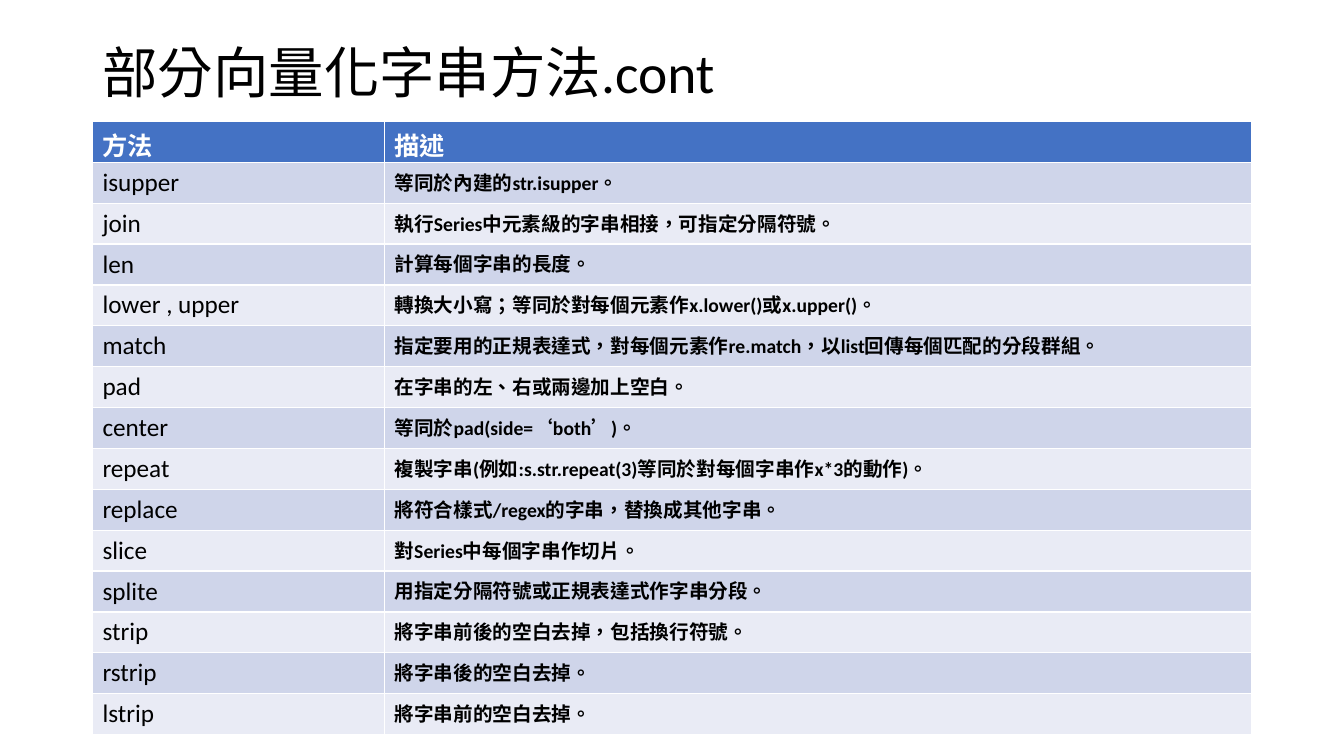
from pptx import Presentation
from pptx.dml.color import RGBColor
from pptx.enum.lang import MSO_LANGUAGE_ID
from pptx.enum.text import MSO_ANCHOR
from pptx.util import Cm, Pt

# Content
TITLE = "部分向量化字串方法.cont"
HEADER = ("方法", "描述")
METHODS = [
    ("isupper", "等同於內建的str.isupper。"),
    ("join", "執行Series中元素級的字串相接，可指定分隔符號。"),
    ("len", "計算每個字串的長度。"),
    ("lower , upper", "轉換大小寫；等同於對每個元素作x.lower()或x.upper()。"),
    ("match", "指定要用的正規表達式，對每個元素作re.match，以list回傳每個匹配的分段群組。"),
    ("pad", "在字串的左、右或兩邊加上空白。"),
    ("center", "等同於pad(side=‘both’)。"),
    ("repeat", "複製字串(例如:s.str.repeat(3)等同於對每個字串作x*3的動作)。"),
    ("replace", "將符合樣式/regex的字串，替換成其他字串。"),
    ("slice", "對Series中每個字串作切片。"),
    ("splite", "用指定分隔符號或正規表達式作字串分段。"),
    ("strip", "將字串前後的空白去掉，包括換行符號。"),
    ("rstrip", "將字串後的空白去掉。"),
    ("lstrip", "將字串前的空白去掉。"),
]

# Style and layout
FONT = "Calibri"
COLORS = {
    "text": "000000",
    "header_text": "FFFFFF",
    "header": "4472C4",
    "odd": "CFD5EA",
    "even": "E9EBF5",
}
LEFT, WIDTH = Cm(2.33), Cm(29.21)
TITLE_TOP, TITLE_HEIGHT = Cm(1.02), Cm(1.78)
TABLE_TOP, ROW_HEIGHT = Cm(3.06), Cm(1.03)
METHOD_WIDTH = Cm(7.36)


def add_text(paragraph, text, size, color, bold=False):
    run = paragraph.add_run()
    run.text = text
    run.font.name = FONT
    run.font.size = Pt(size)
    run.font.bold = bold
    run.font.color.rgb = RGBColor.from_string(COLORS[color])
    run.font.language_id = MSO_LANGUAGE_ID.TRADITIONAL_CHINESE


def add_title(slide):
    frame = slide.shapes.add_textbox(LEFT, TITLE_TOP, WIDTH, TITLE_HEIGHT).text_frame
    frame.word_wrap = True
    frame.vertical_anchor = MSO_ANCHOR.MIDDLE
    paragraph = frame.paragraphs[0]
    paragraph.line_spacing = 0.9
    add_text(paragraph, TITLE, 39.6, "text")


def add_method_table(slide):
    rows = [HEADER, *METHODS]
    table = slide.shapes.add_table(
        len(rows), len(HEADER), LEFT, TABLE_TOP, WIDTH, ROW_HEIGHT * len(rows)
    ).table
    table.columns[0].width = METHOD_WIDTH
    table.columns[1].width = WIDTH - METHOD_WIDTH

    for row_index, texts in enumerate(rows):
        table.rows[row_index].height = ROW_HEIGHT
        is_header = row_index == 0
        fill = "header" if is_header else ("even", "odd")[row_index % 2]
        for column_index, text in enumerate(texts):
            cell = table.cell(row_index, column_index)
            cell.fill.solid()
            cell.fill.fore_color.rgb = RGBColor.from_string(COLORS[fill])
            is_description = column_index == 1
            add_text(
                cell.text_frame.paragraphs[0],
                text,
                size=14 if is_description and not is_header else 18,
                color="header_text" if is_header else "text",
                bold=is_header or is_description,
            )


def main():
    presentation = Presentation()
    presentation.slide_width, presentation.slide_height = Cm(33.87), Cm(19.05)
    slide = presentation.slides.add_slide(presentation.slide_layouts[6])
    add_title(slide)
    add_method_table(slide)
    presentation.save("out.pptx")


if __name__ == "__main__":
    main()
